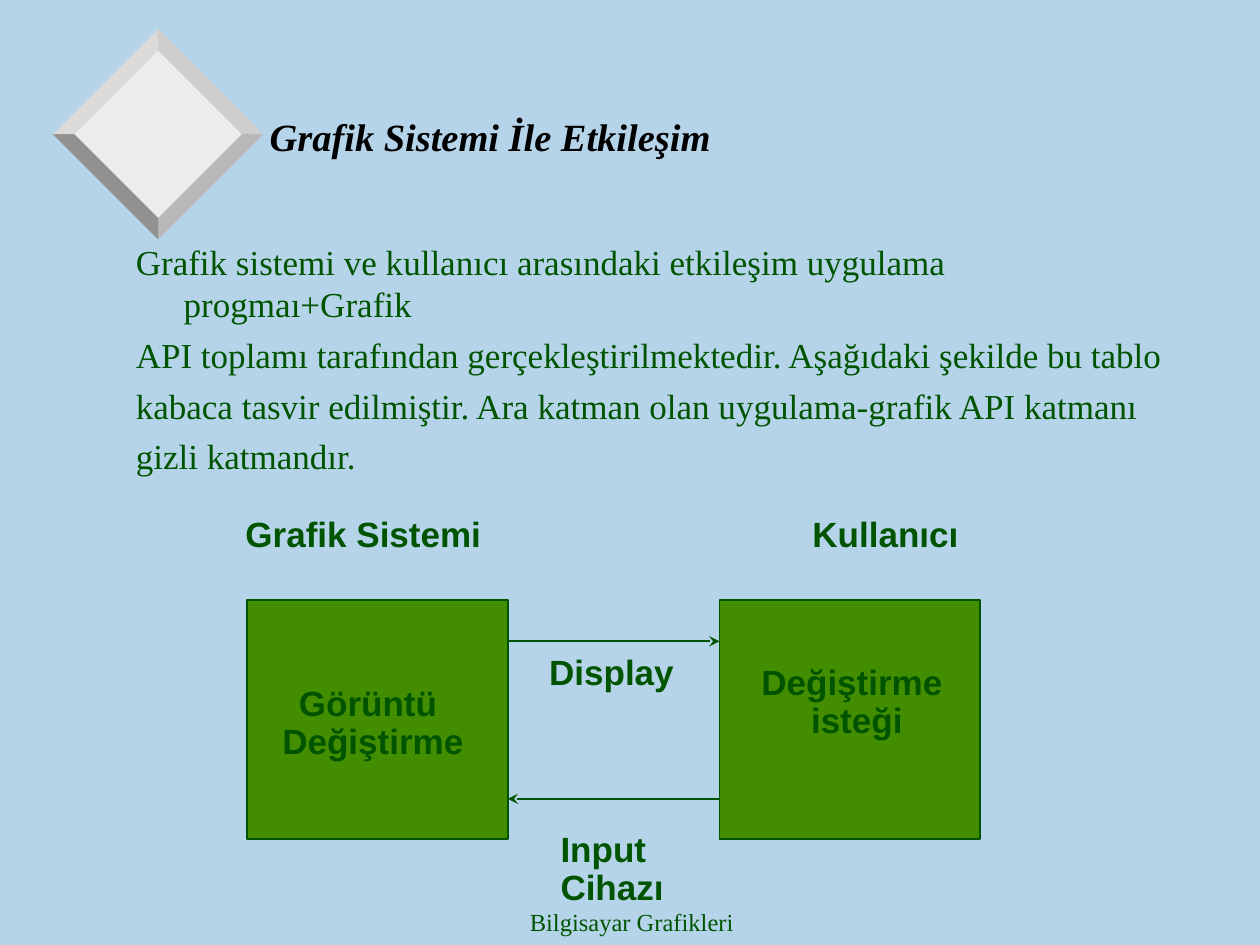
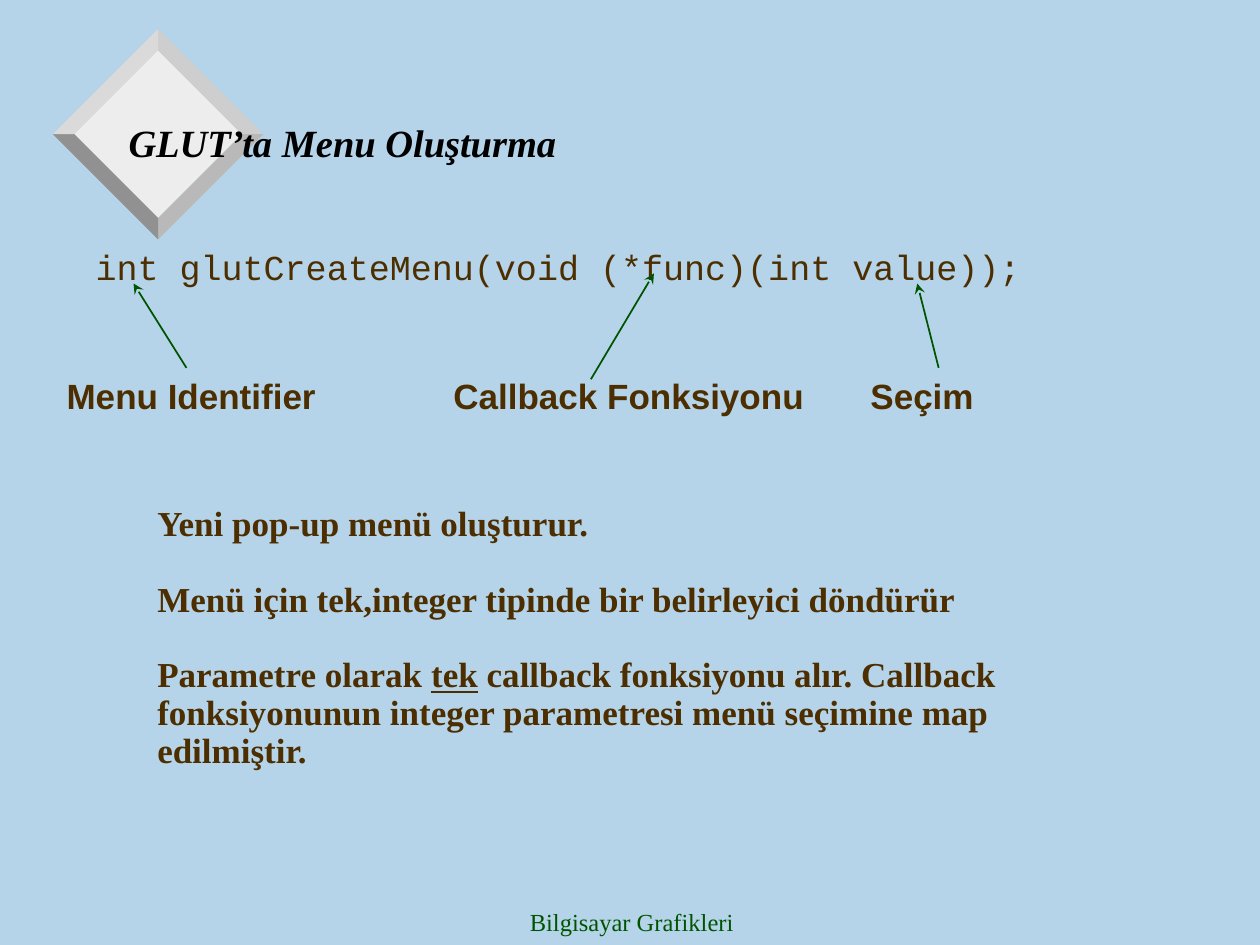
from pptx import Presentation
from pptx.dml.color import RGBColor
from pptx.enum.shapes import MSO_CONNECTOR, MSO_SHAPE
from pptx.enum.text import MSO_ANCHOR, MSO_AUTO_SIZE, PP_ALIGN
from pptx.oxml.ns import qn
from pptx.util import Inches, Pt
from lxml import etree

COLORS = {
    "background": "B5D4E9", "title": "000000", "green": "005400",
    "box": "438E00", "brown": "4C2E00", "diamond": "EDEDED",
    "top_right": "CECECE", "bottom_right": "B9B9B9",
    "bottom_left": "919191", "top_left": "DADADA",
}

# Font formats
TITLE = {"name": "Times New Roman", "size": Pt(22), "bold": True, "italic": True}
FOOTER = {"name": "Times New Roman", "size": Pt(14)}
BODY = {"name": "Times New Roman", "size": Pt(20)}
BOLD_BODY = {**BODY, "bold": True}
LABEL = {"name": "Arial", "size": Pt(20), "bold": True}
CODE = {"name": "Courier New", "size": Pt(20)}

# Paragraph formats
LEFT = {"alignment": PP_ALIGN.LEFT}
CENTER = {"alignment": PP_ALIGN.CENTER}
TIGHT = {**LEFT, "line_spacing": 0.9}
TIGHT_CENTER = {**CENTER, "line_spacing": 0.9}


def rgb(name):
    return RGBColor.from_string(COLORS[name])


def apply_format(target, values):
    for attribute, value in values.items():
        setattr(target, attribute, value)


def write_text(frame, paragraphs, font, color, layout, gap=0, hanging=0):
    """Fill a frame; words between bars are underlined."""
    for index, text in enumerate(paragraphs):
        paragraph = frame.paragraphs[0] if index == 0 else frame.add_paragraph()
        apply_format(paragraph, layout)
        paragraph.space_before = Pt(gap if index else 0)
        if hanging:
            properties = paragraph._p.get_or_add_pPr()
            properties.set("marL", str(Inches(hanging)))
            properties.set("indent", str(-Inches(hanging)))
        for position, part in enumerate(text.split("|")):
            run = paragraph.add_run()
            run.text = part
            apply_format(run.font, font)
            run.font.color.rgb = rgb(color)
            if position % 2:
                run.font.underline = True


def add_text(slide, box, paragraphs, font, color, layout=TIGHT, wrap=False, **spacing):
    shape = slide.shapes.add_textbox(*map(Inches, box))
    frame = shape.text_frame
    frame.word_wrap = wrap
    frame.auto_size = MSO_AUTO_SIZE.NONE if wrap else MSO_AUTO_SIZE.SHAPE_TO_FIT_TEXT
    write_text(frame, paragraphs, font, color, layout, **spacing)


def add_arrow(slide, start, end):
    connector = slide.shapes.add_connector(
        MSO_CONNECTOR.STRAIGHT, *map(Inches, (*start, *end)))
    connector.line.color.rgb = rgb("green")
    connector.line.width = Pt(1)
    properties = connector._element.spPr
    line = properties.find(qn("a:ln"))
    etree.SubElement(line, qn("a:tailEnd"), type="stealth")
    etree.SubElement(properties, qn("a:effectLst"))


def add_polygon(slide, points, color):
    start, *others = [(Inches(x), Inches(y)) for x, y in points]
    builder = slide.shapes.build_freeform(*start)
    builder.add_line_segments(others, close=True)
    shape = builder.convert_to_shape()
    shape.shadow.inherit = False
    shape.fill.solid()
    shape.fill.fore_color.rgb = rgb(color)
    shape.line.fill.background()


def add_diamond(slide, left, top, size, bevel):
    """Bevelled diamond: a face and four facets."""
    center_x, center_y = left + size / 2, top + size / 2

    def corners(radius):
        return [(center_x, center_y - radius), (center_x + radius, center_y),
                (center_x, center_y + radius), (center_x - radius, center_y)]

    outer, inner = corners(size / 2), corners(size / 2 - bevel)
    add_polygon(slide, inner, "diamond")
    facets = ("top_right", "bottom_right", "bottom_left", "top_left")
    for index, color in enumerate(facets):
        following = (index + 1) % 4
        add_polygon(slide, [outer[index], outer[following],
                            inner[following], inner[index]], color)


def add_base_slide(presentation, title, title_box, bottom_inset=0.02):
    """Slide with the shared diamond, footer and title style."""
    slide = presentation.slides.add_slide(presentation.slide_layouts[5])
    add_diamond(slide, 0.42, 0.23, 1.67, 0.17)
    add_text(slide, (3.43, 7.15, 3.17, 0.35), ["Bilgisayar Grafikleri"],
             FOOTER, "green", CENTER, wrap=True)

    placeholder = slide.shapes.title
    left, top, width, height = map(Inches, title_box)
    apply_format(placeholder, {"left": left, "top": top, "width": width, "height": height})
    apply_format(placeholder.text_frame, {
        "margin_left": Inches(0.05), "margin_right": Inches(0.05),
        "margin_top": Inches(0.02), "margin_bottom": Inches(bottom_inset),
        "vertical_anchor": MSO_ANCHOR.BOTTOM, "word_wrap": True,
        "auto_size": MSO_AUTO_SIZE.NONE,
    })
    write_text(placeholder.text_frame, [title], TITLE, "title", LEFT)
    # Draw the title above the diamond
    slide.shapes._spTree.append(placeholder._element)
    return slide


def add_interaction_diagram(slide, left, top):
    """Two boxes exchanging display output and input."""
    box_width, box_height, box_gap, box_top = 2.07, 1.9, 1.68, 0.7
    system_right = left + 0.11 + box_width
    user_left = system_right + box_gap
    for box_left in (left + 0.11, user_left):
        shape = slide.shapes.add_shape(
            MSO_SHAPE.RECTANGLE,
            *map(Inches, (box_left, top + box_top, box_width, box_height)))
        shape.shadow.inherit = False
        shape.fill.solid()
        shape.fill.fore_color.rgb = rgb("box")
        shape.line.color.rgb = rgb("green")
        shape.line.width = Pt(1)

    # Labels, offset from the corner of the diagram
    labels = [
        ((0.29, 1.34, 1.64, 0.7), ["Görüntü ", "Değiştirme"], TIGHT_CENTER),
        ((4.09, 1.17, 1.72, 0.7), ["Değiştirme ", "isteği"], TIGHT_CENTER),
        ((0, 0, 2.07, 0.4), ["Grafik Sistemi"], TIGHT),
        ((4.5, 0, 1.36, 0.4), ["Kullanıcı"], TIGHT),
        ((2.5, 2.5, 1.02, 0.7), ["Input", "Cihazı"], TIGHT),
        ((2.41, 1.09, 1.19, 0.4), ["Display"], TIGHT),
    ]
    for (x, y, width, height), lines, layout in labels:
        add_text(slide, (left + x, top + y, width, height), lines, LABEL, "green", layout)

    # Arrows
    display_y, input_y = top + 1.03, top + 2.28
    add_arrow(slide, (system_right, display_y), (user_left, display_y))
    add_arrow(slide, (user_left, input_y), (system_right, input_y))


def add_signature(slide, left, top):
    """Function signature with a label and an arrow for each part."""
    add_text(slide, (left + 0.23, top, 7.55, 1),
             ["int glutCreateMenu(void (*func)(int value));"], CODE, "brown")
    parts = [
        ("Menu Identifier", 0, 2.18, (1.05, 0.98), (0.63, 0.31)),
        ("Callback Fonksiyonu", 3.07, 2.99, (4.26, 1.07), (4.76, 0.23)),
        ("Seçim", 6.38, 1.02, (7.02, 0.98), (6.85, 0.31)),
    ]
    for label, x, width, start, end in parts:
        add_text(slide, (left + x, top + 1.02, width, 0.4), [label], LABEL, "brown")
        add_arrow(slide, *[(left + dx, top + dy) for dx, dy in (start, end)])


def build_interaction_slide(presentation):
    slide = add_base_slide(presentation, "Grafik Sistemi İle Etkileşim",
                           (2.09, 0.68, 6.3, 0.94), bottom_inset=0.36)
    add_interaction_diagram(slide, 1.85, 4.06)
    add_text(slide, (0.98, 1.86, 8.5, 2.15), [
        "Grafik sistemi ve kullanıcı arasındaki etkileşim uygulama progmaı+Grafik",
        "API toplamı tarafından gerçekleştirilmektedir. Aşağıdaki şekilde bu tablo",
        "kabaca tasvir edilmiştir. Ara katman olan uygulama-grafik API katmanı",
        "gizli katmandır.",
    ], BODY, "green", LEFT, wrap=True, gap=5, hanging=0.38)


def build_menu_slide(presentation):
    slide = add_base_slide(presentation, "GLUT’ta Menu Oluşturma",
                           (0.97, 0.29, 9.03, 1.04))
    add_signature(slide, 0.43, 1.94)
    add_text(slide, (1.15, 3.97, 7.87, 2.5), [
        "Yeni pop-up menü oluşturur.",
        "Menü için tek,integer tipinde bir belirleyici döndürür",
        "Parametre olarak |tek| callback fonksiyonu alır. Callback "
        "fonksiyonunun integer parametresi menü seçimine map edilmiştir.",
    ], BOLD_BODY, "brown", wrap=True, gap=21.6)


def main():
    presentation = Presentation()
    presentation.slide_width = Inches(10)
    presentation.slide_height = Inches(7.5)
    background = presentation.slide_master.background.fill
    background.solid()
    background.fore_color.rgb = rgb("background")
    build_interaction_slide(presentation)
    build_menu_slide(presentation)
    presentation.save("out.pptx")


if __name__ == "__main__":
    main()
